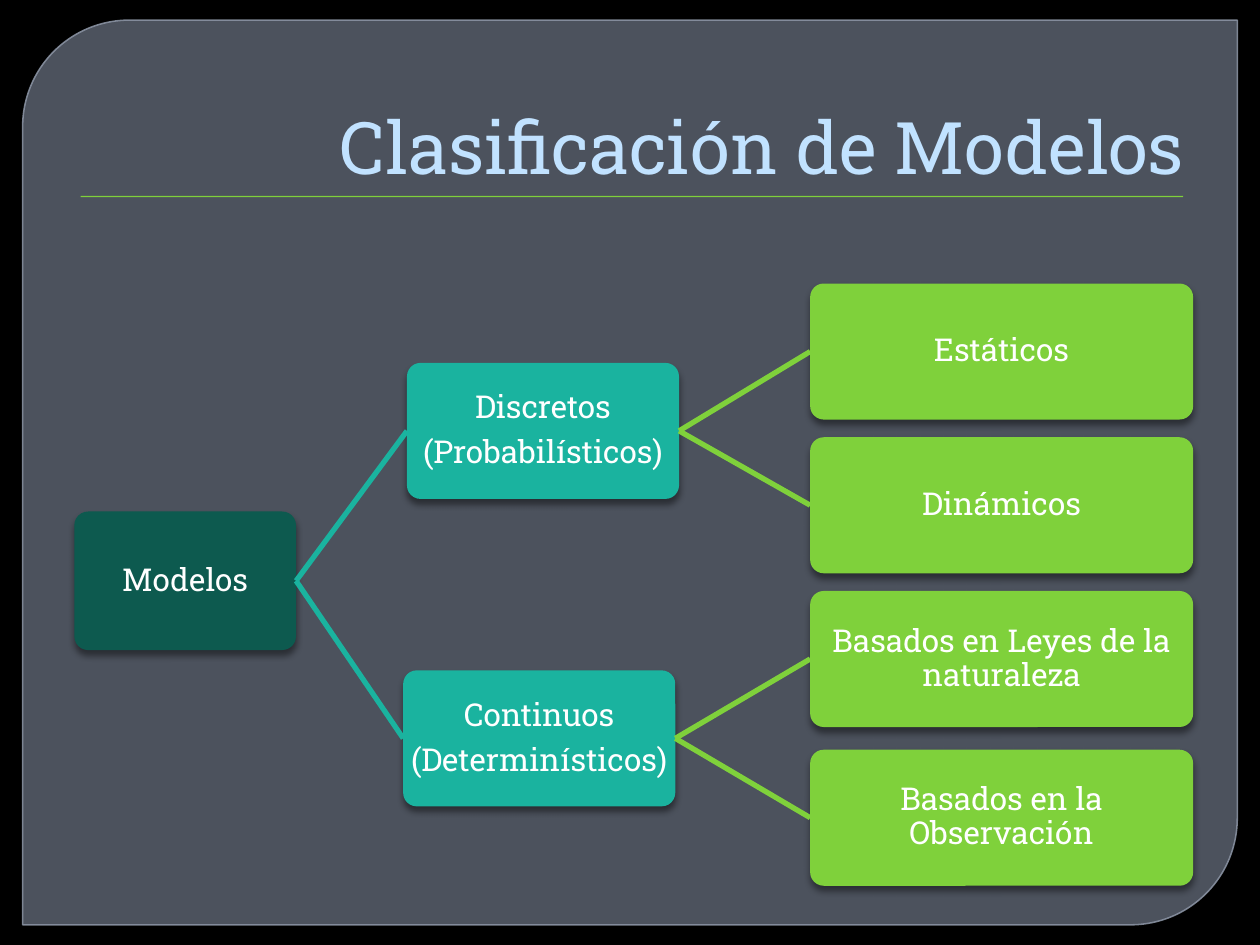
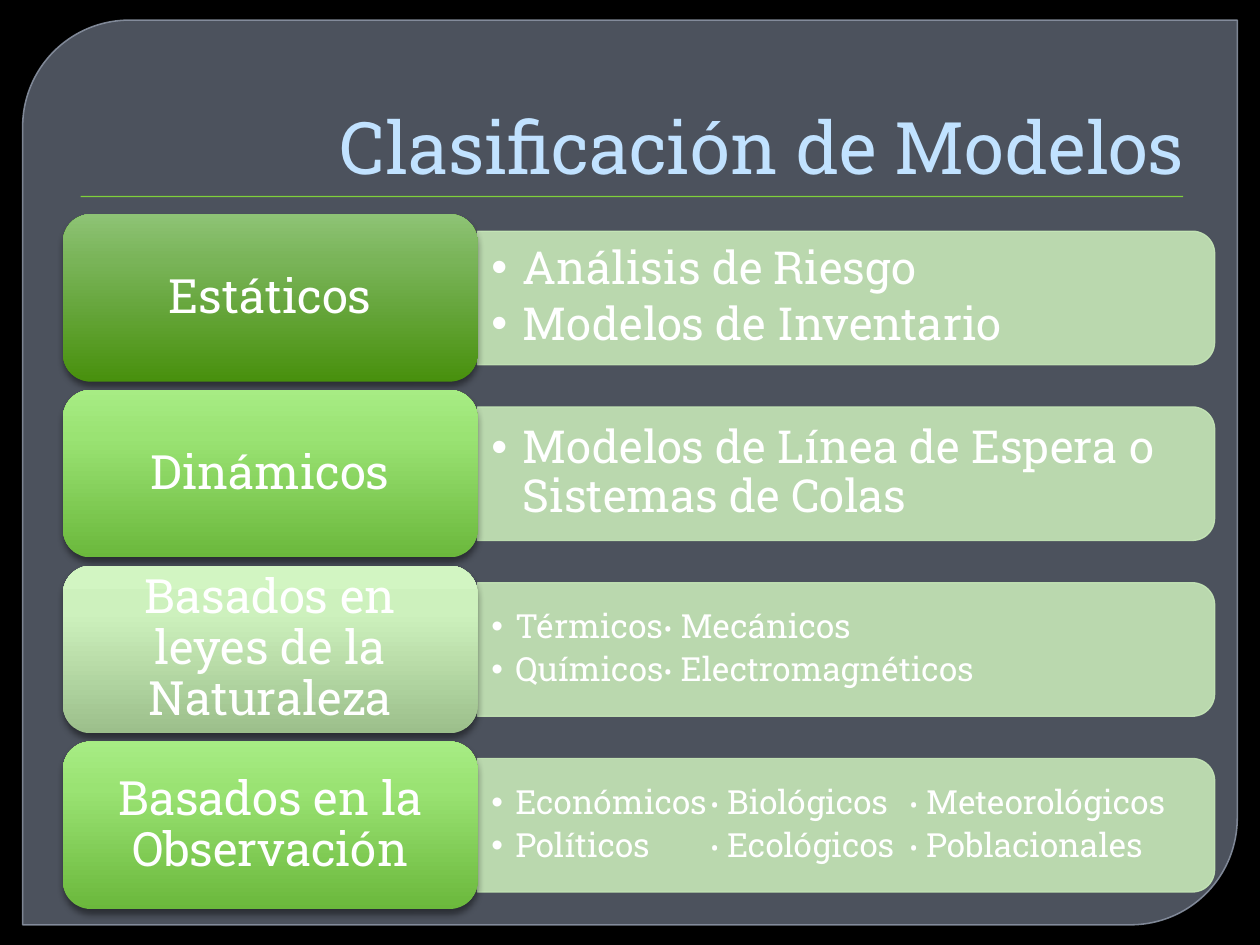
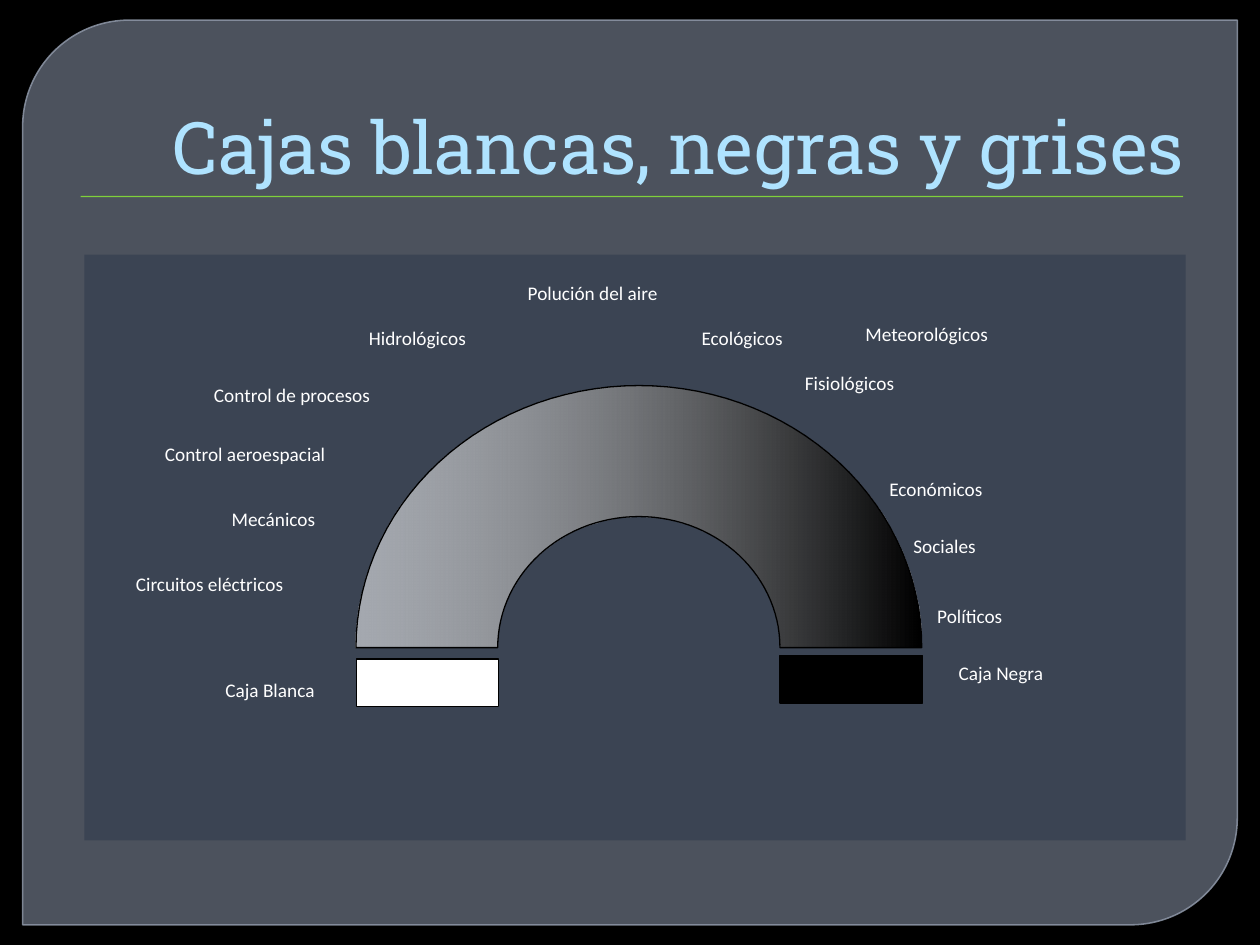
import math

from pptx import Presentation
from pptx import util as u
from pptx.dml.color import RGBColor
from pptx.enum import shapes, text
from pptx.oxml.ns import qn
from lxml import etree

BLACK = RGBColor(0x00, 0x00, 0x00)
WHITE = RGBColor(0xFF, 0xFF, 0xFF)
SLATE = RGBColor(0x76, 0x7F, 0x8F)
SLATE_EDGE = RGBColor(0x8B, 0x94, 0xA4)
NAVY = RGBColor(0x3B, 0x44, 0x53)
ICE = RGBColor(0xC1, 0xE2, 0xFF)
SKY = RGBColor(0xAF, 0xE3, 0xFF)
PINE = RGBColor(0x0D, 0x5A, 0x4F)
TEAL = RGBColor(0x1A, 0xB3, 0x9F)
LIME = RGBColor(0x7F, 0xD1, 0x3B)
MINT = RGBColor(0xC6, 0xE7, 0xB7)

# Gradient stops: position in percent, colour, opacity in percent
FOREST_FADE = [(0, "48900D", 100), (72, "79B458", 100), (100, "8EC375", 100)]
LEAF_FADE = [(0, "6BB83C", 100), (72, "9AE373", 100), (100, "A7EC84", 100)]
PALE_FADE = [(0, "9CBF8B", 100), (72, "CDF1BD", 100), (100, "D2F5C2", 100)]
GREY_FADE = [(0, "FFFFFF", 54), (100, "000000", 100)]

SERIF, SANS = "Roboto Slab", "Calibri"
SOFT_SHADOW = (43, 4, 3)
THIN_SHADOW = (75, 1, 1)
KIND = shapes.MSO_SHAPE
ALIGN, ANCHOR = text.PP_ALIGN, text.MSO_ANCHOR
TOP, LEFT, BOTTOM, RIGHT = range(4)
COLUMNS, ROWS = 100, 75


def child(parent, tag, **attributes):
    return etree.SubElement(parent, qn(tag), {k: str(v) for k, v in attributes.items()})


def set_opacity(fill_parent, percent):
    color = fill_parent.find(qn("a:solidFill"))[0]
    child(color, "a:alpha", val=percent * 1000)


def set_gradient(shape, stops, angle):
    shape.fill.gradient()
    shape.fill.gradient_angle = angle
    stop_list = shape.element.spPr.find(qn("a:gradFill")).find(qn("a:gsLst"))
    stop_list[:] = []
    for position, color, opacity in stops:
        stop = child(stop_list, "a:gs", pos=position * 1000)
        tint = child(stop, "a:srgbClr", val=color)
        if opacity < 100:
            child(tint, "a:alpha", val=opacity * 1000)


def set_shadow(shape, opacity, blur, distance):
    effects = shape.element.spPr.find(qn("a:effectLst"))
    shadow = child(effects, "a:outerShdw", blurRad=u.Pt(blur), dist=u.Pt(distance),
                   dir=90 * 60000, algn="ctr", rotWithShape=0)
    child(child(shadow, "a:srgbClr", val="000000"), "a:alpha", val=opacity * 1000)


def set_bullet(para, hang, tabs):
    """Hang a bullet by the given inches and set left tab stops."""
    props = para._p.get_or_add_pPr()
    props.set("marL", str(u.Inches(hang)))
    props.set("indent", str(-u.Inches(hang)))
    child(props, "a:buFont", typeface="Arial")
    child(props, "a:buChar", char="•")
    if tabs:
        stops = child(props, "a:tabLst")
        for tab in tabs:
            child(stops, "a:tab", pos=u.Inches(tab), algn="l")


def write(shape, lines, size=18, font=SERIF, color=WHITE, align=ALIGN.LEFT,
          anchor=ANCHOR.TOP, inset=(0.1, 0.05), spacing=None, after=0,
          hang=0, tabs=(), dot_size=None):
    """Fill a shape with paragraphs; a tab starts a new item with a small dot."""
    frame = shape.text_frame
    frame.word_wrap = True
    frame.vertical_anchor = anchor
    frame.margin_left = frame.margin_right = u.Inches(inset[0])
    frame.margin_top = frame.margin_bottom = u.Inches(inset[1])
    for index, line in enumerate(lines):
        para = frame.paragraphs[0] if index == 0 else frame.add_paragraph()
        para.alignment = align
        if spacing:
            para.line_spacing = spacing
        para.space_after = u.Pt(after)
        if hang:
            set_bullet(para, hang, tabs)
        first, *others = line.split("\t")
        pieces = [(first, size)]
        for item in others:
            pieces += [("\t•", dot_size), (" " + item, size)]
        for words, points in pieces:
            span = para.add_run()
            span.text = words
            span.font.size = u.Pt(points)
            span.font.name = font
            span.font.color.rgb = color


class Board:
    """Style and current page; places are in columns and rows of the grid."""

    def __init__(self, deck):
        self.deck = deck
        self.column = deck.slide_width / COLUMNS
        self.row = deck.slide_height / ROWS
        self.page = None

    def place(self, left, top, width, height):
        return [round(left * self.column), round(top * self.row),
                round(width * self.column), round(height * self.row)]

    def new_page(self, title, color=ICE):
        self.page = self.deck.slides.add_slide(self.deck.slide_layouts[6])
        self.page.background.fill.solid()
        self.page.background.fill.fore_color.rgb = BLACK
        self.box((1.8, 1.6, 96.4, 71.8), SLATE, KIND.ROUND_2_DIAG_RECTANGLE, opacity=65,
                 edge=SLATE_EDGE, edge_width=0.87, edge_opacity=88, adjust=(0.118, 0))
        self.box((6.4, 15.55, 87.5, 0.1), LIME, shadow=THIN_SHADOW)
        self.label((5, 8.4, 90, 7.1), [title], size=41.4, color=color,
                   align=ALIGN.RIGHT, anchor=ANCHOR.BOTTOM)

    def finish(self, shape, fill, opacity=100, edge=None, edge_width=0.75,
               edge_opacity=100, angle=90, shadow=None):
        shape.shadow.inherit = False
        if isinstance(fill, list):
            set_gradient(shape, fill, angle)
        else:
            shape.fill.solid()
            shape.fill.fore_color.rgb = fill
            if opacity < 100:
                set_opacity(shape.element.spPr, opacity)
        if edge is None:
            shape.line.fill.background()
        else:
            shape.line.color.rgb = edge
            shape.line.width = u.Pt(edge_width)
            if edge_opacity < 100:
                set_opacity(shape.element.spPr.find(qn("a:ln")), edge_opacity)
        if shadow:
            set_shadow(shape, *shadow)
        return shape

    def box(self, area, fill, kind=KIND.RECTANGLE, adjust=(), **style):
        shape = self.page.shapes.add_shape(kind, *self.place(*area))
        for index, value in enumerate(adjust):
            shape.adjustments[index] = value
        return self.finish(shape, fill, **style)

    def label(self, area, lines, **style):
        box = self.page.shapes.add_textbox(*self.place(*area))
        write(box, lines, **style)

    def node(self, area, lines, fill):
        box = self.box(area, fill, KIND.ROUNDED_RECTANGLE, (0.1,), shadow=SOFT_SHADOW)
        write(box, lines, align=ALIGN.CENTER, anchor=ANCHOR.MIDDLE,
              inset=(0.01, 0.01), spacing=0.9, after=6.3)
        return box

    def branch(self, parent, target, color):
        line = self.page.shapes.add_connector(shapes.MSO_CONNECTOR.STRAIGHT, 0, 0, 0, 0)
        line.begin_connect(parent, RIGHT)
        line.end_connect(target, LEFT)
        line.line.color.rgb = color
        line.line.width = u.Pt(3)
        child(line.element.spPr, "a:effectLst")

    def side_panel(self, left, top, width, height):
        """Panel with both right corners rounded: a top-rounded box turned by 90 degrees."""
        area = (left + (width - height) / 2, top + (height - width) / 2, height, width)
        panel = self.box(area, MINT, KIND.ROUND_2_SAME_RECTANGLE, opacity=90,
                         edge=MINT, edge_opacity=90)
        panel.rotation = 90

    def half_ring(self, center, outer, inner, fill, steps=60):
        def arc(radii, order):
            return [((center[0] - radii[0] * math.cos(math.pi * step / steps)) * self.column,
                     (center[1] - radii[1] * math.sin(math.pi * step / steps)) * self.row)
                    for step in order]

        points = arc(outer, range(steps + 1)) + arc(inner, range(steps, -1, -1))
        builder = self.page.shapes.build_freeform(*points[0])
        builder.add_line_segments(points[1:], close=True)
        self.finish(builder.convert_to_shape(), fill, edge=BLACK, angle=0)


def build_tree(board):
    board.new_page("Clasificación de Modelos")
    root = board.node((5.9, 40.6, 17.6, 11), ["Modelos"], PINE)
    branches = [
        (32.3, 28.8, ["Discretos", "(Probabilísticos)"],
         [(22.5, "Estáticos"), (34.7, "Dinámicos")]),
        (32, 53.2, ["Continuos", "(Determinísticos)"],
         [(46.9, "Basados en Leyes de la naturaleza"), (59.5, "Basados en la Observación")]),
    ]
    for left, top, lines, leaves in branches:
        middle = board.node((left, top, 21.6, 10.8), lines, TEAL)
        board.branch(root, middle, TEAL)
        for leaf_top, words in leaves:
            leaf = board.node((64.3, leaf_top, 30.4, 10.8), [words], LIME)
            board.branch(middle, leaf, LIME)


def build_examples(board):
    board.new_page("Clasificación de Modelos")
    large = dict(size=26, hang=0.25)
    small = dict(size=19, hang=0.19, dot_size=14)
    groups = [
        ("Estáticos", FOREST_FADE, large, (), ["Análisis de Riesgo", "Modelos de Inventario"]),
        ("Dinámicos", LEAF_FADE, large, (), ["Modelos de Línea de Espera o Sistemas de Colas"]),
        ("Basados en leyes de la Naturaleza", PALE_FADE, small, (1.37,),
         ["Térmicos\tMecánicos", "Químicos\tElectromagnéticos"]),
        ("Basados en la Observación", LEAF_FADE, small, (1.74, 3.32),
         ["Económicos\tBiológicos\tMeteorológicos", "Políticos\tEcológicos\tPoblacionales"]),
    ]
    for index, (name, fade, style, tabs, items) in enumerate(groups):
        top = 17 + 13.95 * index
        board.side_panel(37.9, top + 1.35, 58.5, 10.6)
        board.label((37.9, top + 1.85, 58, 9.6), items, anchor=ANCHOR.MIDDLE,
                    inset=(0.11, 0.05), spacing=0.9, after=3.9, tabs=tabs, **style)
        heading = board.box((5, top, 32.9, 13.3), fade, KIND.ROUNDED_RECTANGLE,
                            shadow=SOFT_SHADOW)
        write(heading, [name], size=27, align=ALIGN.CENTER, anchor=ANCHOR.MIDDLE,
              inset=(0.11, 0.06), spacing=0.9, after=9.45)


def build_spectrum(board):
    board.new_page("Cajas blancas, negras y grises", color=SKY)
    board.box((6.7, 20.2, 87.4, 46.5), NAVY)
    board.half_ring((50.7, 51.4), (22.45, 20.8), (11.2, 10.4), GREY_FADE)
    board.box((28.3, 52.3, 11.3, 3.8), WHITE, edge=BLACK)
    board.box((61.9, 52, 11.3, 3.8), BLACK, edge=BLACK)
    labels = [
        (9.8, 44.9, "Circuitos eléctricos"), (17.4, 39.8, "Mecánicos"),
        (12.1, 34.6, "Control aeroespacial"), (16, 29.9, "Control de procesos"),
        (28.3, 25.4, "Hidrológicos"), (40.9, 21.8, "Polución del aire"),
        (54.7, 25.4, "Ecológicos"), (67.7, 25.1, "Meteorológicos"),
        (62.9, 29, "Fisiológicos"), (69.6, 37.4, "Económicos"),
        (71.5, 41.9, "Sociales"), (73.4, 47.5, "Políticos"),
        (16.9, 53.3, "Caja Blanca"), (75.1, 52, "Caja Negra"),
    ]
    for left, top, words in labels:
        board.label((left, top, 18, 5.2), [words], size=11, font=SANS, after=10)


def main():
    deck = Presentation()
    deck.slide_width, deck.slide_height = u.Inches(10), u.Inches(7.5)
    board = Board(deck)
    build_tree(board)
    build_examples(board)
    build_spectrum(board)
    deck.save("out.pptx")


if __name__ == "__main__":
    main()
